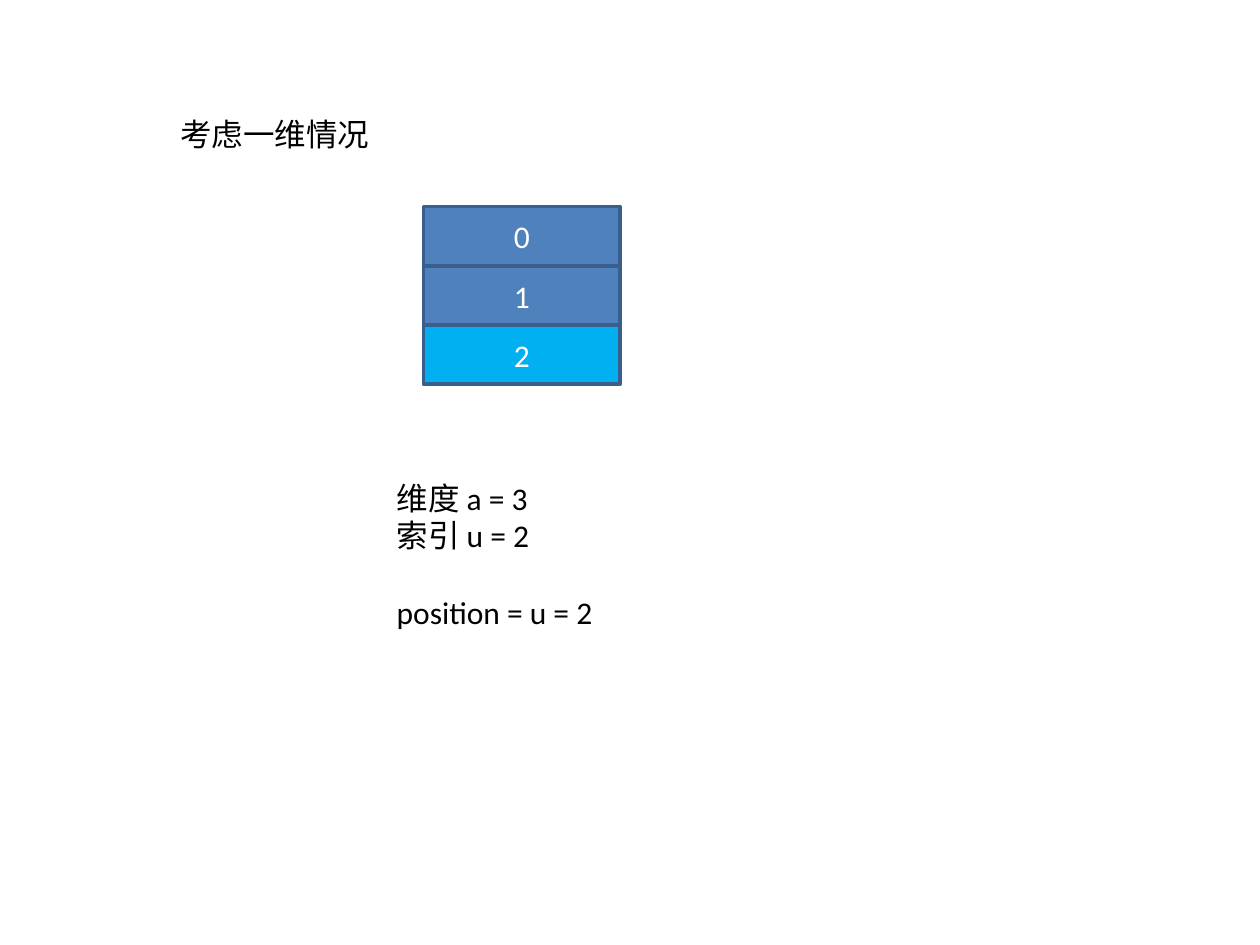
from dataclasses import dataclass

from pptx import Presentation
from pptx.dml.color import RGBColor
from pptx.enum.shapes import MSO_SHAPE
from pptx.enum.text import MSO_ANCHOR, MSO_AUTO_SIZE, PP_ALIGN
from pptx.util import Pt

RECTANGLE = MSO_SHAPE.RECTANGLE
TOP, MIDDLE = MSO_ANCHOR.TOP, MSO_ANCHOR.MIDDLE
LEFT, CENTER = PP_ALIGN.LEFT, PP_ALIGN.CENTER
GROW = MSO_AUTO_SIZE.SHAPE_TO_FIT_TEXT
TITLE_ONLY = 5


@dataclass(frozen=True)
class Theme:
    """Colours, font and sizes of the slide."""
    font: str = "Calibri"
    size: int = 18
    border: int = 2
    text: RGBColor = RGBColor(0x00, 0x00, 0x00)
    cell_text: RGBColor = RGBColor(0xFF, 0xFF, 0xFF)
    cell: RGBColor = RGBColor(0x4F, 0x81, 0xBD)
    selected: RGBColor = RGBColor(0x00, 0xB0, 0xF0)
    outline: RGBColor = RGBColor(0x3A, 0x5F, 0x8C)


THEME = Theme()


def style(paragraph, color, alignment):
    """Apply the theme font, a colour and an alignment to a paragraph."""
    paragraph.alignment = alignment
    paragraph.font.name = THEME.font
    paragraph.font.size = Pt(THEME.size)
    paragraph.font.color.rgb = color


def fill_text(frame, lines):
    """Write unwrapped, left-aligned lines from the top of a text frame."""
    frame.text = "\n".join(lines)
    frame.word_wrap = False
    frame.auto_size = GROW
    frame.vertical_anchor = TOP
    for paragraph in frame.paragraphs:
        style(paragraph, THEME.text, LEFT)


def place_title(slide, left, top, width, height, wording):
    """Move the title placeholder to its box and fill it."""
    title = slide.shapes.title
    title.left, title.top = Pt(left), Pt(top)
    title.width, title.height = Pt(width), Pt(height)
    fill_text(title.text_frame, [wording])


def place_array(slide, left, top, width, height, length, selected):
    """Stack numbered cells in the box and highlight the selected index."""
    cell_height = height / length
    for index in range(length):
        cell = slide.shapes.add_shape(
            RECTANGLE, Pt(left), Pt(top + index * cell_height),
            Pt(width), Pt(cell_height))
        cell.shadow.inherit = False
        cell.fill.solid()
        cell.fill.fore_color.rgb = (
            THEME.selected if index == selected else THEME.cell)
        cell.line.color.rgb = THEME.outline
        cell.line.width = Pt(THEME.border)
        frame = cell.text_frame
        frame.text = str(index)
        frame.vertical_anchor = MIDDLE
        style(frame.paragraphs[0], THEME.cell_text, CENTER)


def place_formula(slide, left, top, width, height, givens, result):
    """List the given values, then the result one line below them."""
    formula = slide.shapes.add_textbox(
        Pt(left), Pt(top), Pt(width), Pt(height))
    fill_text(formula.text_frame, [*givens, result])
    formula.text_frame.paragraphs[-1].space_before = Pt(22)


def main():
    """Build and save the slide on one-dimensional indexing."""
    deck = Presentation()
    deck.slide_width, deck.slide_height = Pt(720), Pt(540)
    slide = deck.slides.add_slide(deck.slide_layouts[TITLE_ONLY])
    place_title(slide, 95.8, 62, 124, 29, "考虑一维情况")
    place_array(slide, 242, 118, 112.4, 101.6, length=3, selected=2)
    place_formula(slide, 219.6, 270, 128, 94.4,
                  ["维度 a = 3", "索引 u = 2"], "position = u = 2")
    deck.save("out.pptx")


if __name__ == "__main__":
    main()
